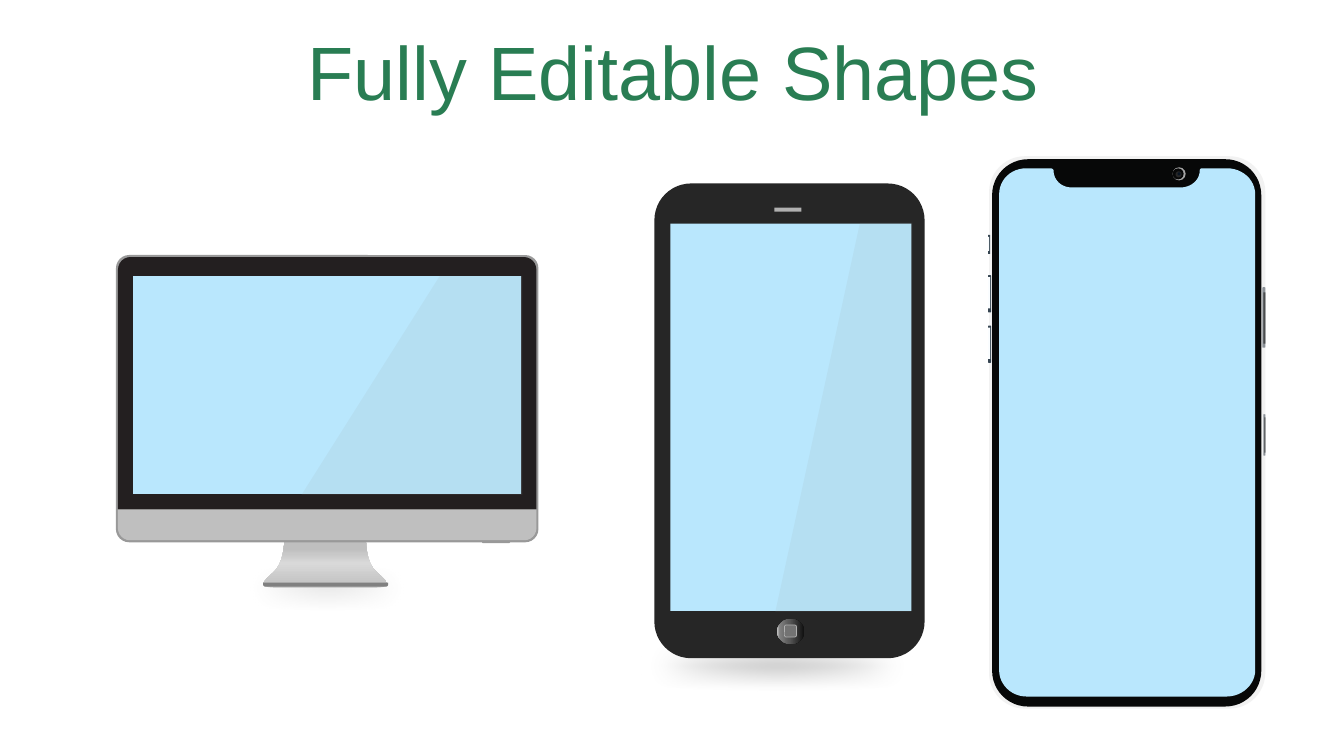
from lxml import etree
from pptx import Presentation
from pptx.dml.color import RGBColor
from pptx.enum.shapes import MSO_SHAPE
from pptx.enum.text import MSO_ANCHOR, PP_ALIGN
from pptx.oxml.ns import qn
from pptx.util import Inches, Pt

COLORS = {
    "title": "297D53", "screen": "B9E7FD", "glare": "999999", "shadow": "808080",
    "rim": "F2F2F2", "phone": "070808", "button": "364551", "button_light": "FAFDFF",
    "key": "8A9096", "key_dark": "4A4C4D", "lens_ring": "A6A6A6", "lens": "262626",
    "pupil": "081422", "monitor_edge": "999999", "monitor": "231F20",
    "aluminium": "BFBFBF", "stand_foot": "808080", "tablet": "262626",
    "detail": "B0B0B0", "home": "737373",
}
STAND_GRADIENT = (270, [(0, "BFBFBF"), (53, "D9D9D9"), (83, "BFBFBF"), (100, "BFBFBF")])
HOME_GRADIENT = (180, [(0, "0F0F0F"), (56, "595959"), (91, "808080"), (100, "BFBFBF")])

RECT, OVAL = MSO_SHAPE.RECTANGLE, MSO_SHAPE.OVAL
ROUNDED, ROUND_TWO = MSO_SHAPE.ROUNDED_RECTANGLE, MSO_SHAPE.ROUND_2_SAME_RECTANGLE

TITLE = "Fully Editable Shapes"
SHADOWS = [(5.22, 6.34, 4.97, 0.52), (0.94, 5.6, 4.61, 0.47)]

# Presets: kind, (left, top, width, height), color, corner adjustments
PHONE_BODY = [
    (ROUNDED, (9.81, 1.55, 2.74, 5.48), "rim", [0.13]),
    (ROUNDED, (9.84, 1.58, 2.67, 5.43), "phone", [0.133]),
]
PHONE_DETAILS = [
    (RECT, (9.8, 2.33, 0.02, 0.19), "button", []),
    (RECT, (9.8, 2.35, 0.01, 0.14), "button_light", []),
    *[part for top in (2.73, 3.23) for part in (
        (ROUNDED, (9.8, top, 0.03, 0.37), "button", [0.25]),
        (RECT, (9.8, top + 0.02, 0.02, 0.31), "button_light", []))],
    (ROUNDED, (12.52, 2.85, 0.03, 0.6), "key", [0.25]),
    (RECT, (12.53, 2.9, 0.02, 0.51), "key_dark", []),
    (ROUNDED, (12.53, 4.11, 0.02, 0.41), "key", [0.25]),
    (RECT, (12.54, 4.14, 0.01, 0.35), "key_dark", []),
    (OVAL, (11.63, 1.66, 0.13, 0.13), "lens_ring", []),
    (OVAL, (11.63, 1.67, 0.11, 0.11), "phone", []),
    (OVAL, (11.66, 1.7, 0.06, 0.06), "lens", []),
    (OVAL, (11.68, 1.71, 0.03, 0.03), "pupil", []),
]
MONITOR_PARTS = [
    (ROUNDED, (1.15, 2.53, 4.19, 2.85), "monitor_edge", [0.046]),
    (ROUND_TWO, (4.78, 5.36, 0.28, 0.03), "monitor_edge", [0, 0.5]),
    (ROUND_TWO, (1.17, 2.55, 4.15, 2.5), "monitor", [0.05, 0]),
    (ROUND_TWO, (2.61, 5.78, 1.24, 0.04), "stand_foot", [0, 0.5]),
    (ROUND_TWO, (1.17, 5.06, 4.15, 0.3), "aluminium", [0, 0.4]),
    (RECT, (1.32, 2.74, 3.85, 2.16), "screen", []),
]
TABLET_PARTS = [
    (ROUNDED, (6.49, 1.82, 2.68, 4.71), "tablet", [0.136]),
    (RECT, (7.68, 2.06, 0.27, 0.04), "detail", []),
    (RECT, (6.65, 2.22, 2.39, 3.84), "screen", []),
]
HOME_BUTTON = (7.71, 6.14, 0.27, 0.25)
HOME_SYMBOL = (7.78, 6.2, 0.12, 0.12)

# Outlines: a pair is a corner, six numbers are a Bezier curve from the last point
PHONE_SCREEN = [
    (12.17, 1.67), (11.92, 1.67), (11.91, 1.67, 11.9, 1.68, 11.9, 1.69),
    (11.9, 1.79, 11.81, 1.86, 11.71, 1.86), (10.63, 1.86),
    (10.53, 1.86, 10.45, 1.79, 10.45, 1.69), (10.45, 1.68, 10.43, 1.67, 10.42, 1.67),
    (10.18, 1.67), (10.03, 1.67, 9.91, 1.78, 9.91, 1.93), (9.91, 6.65),
    (9.91, 6.79, 10.03, 6.91, 10.18, 6.91), (12.17, 6.91),
    (12.32, 6.91, 12.45, 6.79, 12.45, 6.65), (12.45, 1.93),
    (12.45, 1.78, 12.32, 1.67, 12.17, 1.67),
]
STAND = [
    (3.72, 5.66), (3.63, 5.57, 3.63, 5.37, 3.63, 5.37), (2.82, 5.37),
    (2.82, 5.37, 2.82, 5.56, 2.73, 5.66), (2.64, 5.75, 2.51, 5.83, 2.74, 5.83),
    (3.71, 5.83), (3.95, 5.83, 3.81, 5.75, 3.72, 5.66),
]
MONITOR_GLARE = [(4.36, 2.74), (5.18, 2.74), (5.18, 4.91), (2.99, 4.91)]
TABLET_GLARE = [(8.53, 2.21), (9.05, 2.21), (9.04, 6.07), (7.69, 6.07)]


def rgb(name):
    return RGBColor.from_string(COLORS[name])


def paint(shape, color):
    shape.shadow.inherit = False
    shape.fill.solid()
    shape.fill.fore_color.rgb = rgb(color)
    shape.line.fill.background()
    return shape


def add_preset(shapes, kind, box, color, adjustments=()):
    shape = shapes.add_shape(kind, *map(Inches, box))
    for index, value in enumerate(adjustments):
        shape.adjustments[index] = value
    return paint(shape, color)


def flatten(outline, steps=12):
    """Turn corners and Bezier curves into one list of points."""
    points = []
    for part in outline:
        if len(part) == 2:
            points.append(part)
            continue
        controls = [points[-1], part[:2], part[2:4], part[4:]]
        for step in range(1, steps + 1):
            t = step / steps
            weights = ((1 - t) ** 3, 3 * t * (1 - t) ** 2, 3 * t * t * (1 - t), t ** 3)
            points.append(tuple(sum(weight * control[axis] for weight, control
                                    in zip(weights, controls)) for axis in (0, 1)))
    return points


def add_outline(shapes, outline, color):
    points = [(Inches(x), Inches(y)) for x, y in flatten(outline)]
    builder = shapes.build_freeform(*points[0], scale=1.0)
    builder.add_line_segments(points[1:], close=True)
    return paint(builder.convert_to_shape(), color)


def add_glare(shapes, outline):
    shape = add_outline(shapes, outline, "glare")
    color = shape.fill._xPr.find(qn("a:solidFill"))[0]
    etree.SubElement(color, qn("a:alpha"), val="10000")


def set_gradient(shape, angle, stops):
    properties = shape.fill._xPr
    gradient = etree.Element(qn("a:gradFill"), rotWithShape="1")
    stop_list = etree.SubElement(gradient, qn("a:gsLst"))
    for position, color in stops:
        stop = etree.SubElement(stop_list, qn("a:gs"), pos=str(position * 1000))
        etree.SubElement(stop, qn("a:srgbClr"), val=color)
    etree.SubElement(gradient, qn("a:lin"), ang=str(angle * 60000), scaled="0")
    properties.replace(properties.find(qn("a:solidFill")), gradient)


def add_shadow(shapes, box):
    shape = add_preset(shapes, OVAL, box, "shadow")
    effects = shape.fill._xPr.find(qn("a:effectLst"))
    etree.SubElement(effects, qn("a:softEdge"), rad=str(Pt(16)))


def add_title(shapes):
    text_frame = shapes.add_textbox(*map(Inches, (0.35, 0.36, 12.66, 0.79))).text_frame
    text_frame.word_wrap = True
    text_frame.vertical_anchor = MSO_ANCHOR.MIDDLE
    text_frame.text = TITLE
    paragraph = text_frame.paragraphs[0]
    paragraph.alignment = PP_ALIGN.CENTER
    paragraph.line_spacing = 0.9
    font = paragraph.runs[0].font
    font.name, font.size, font.color.rgb = "Arial", Pt(54), rgb("title")


def add_phone(shapes):
    for part in PHONE_BODY:
        add_preset(shapes, *part)
    add_outline(shapes, PHONE_SCREEN, "screen")
    for part in PHONE_DETAILS:
        add_preset(shapes, *part)


def add_monitor(shapes):
    set_gradient(add_outline(shapes, STAND, "aluminium"), *STAND_GRADIENT)
    for part in MONITOR_PARTS:
        add_preset(shapes, *part)
    add_glare(shapes, MONITOR_GLARE)


def add_tablet(shapes):
    for part in TABLET_PARTS:
        add_preset(shapes, *part)
    button = add_preset(shapes, OVAL, HOME_BUTTON, "tablet")
    set_gradient(button, *HOME_GRADIENT)
    symbol = add_preset(shapes, ROUNDED, HOME_SYMBOL, "home")
    symbol.line.color.rgb = rgb("detail")
    symbol.line.width = Pt(0.5)
    add_glare(shapes, TABLET_GLARE)


def main():
    presentation = Presentation()
    presentation.slide_width, presentation.slide_height = Inches(13.33), Inches(7.5)
    slide = presentation.slides.add_slide(presentation.slide_layouts[6])
    for box in SHADOWS:
        add_shadow(slide.shapes, box)
    add_title(slide.shapes)
    for add_device in (add_phone, add_monitor, add_tablet):
        add_device(slide.shapes.add_group_shape().shapes)
    presentation.save("out.pptx")


if __name__ == "__main__":
    main()
